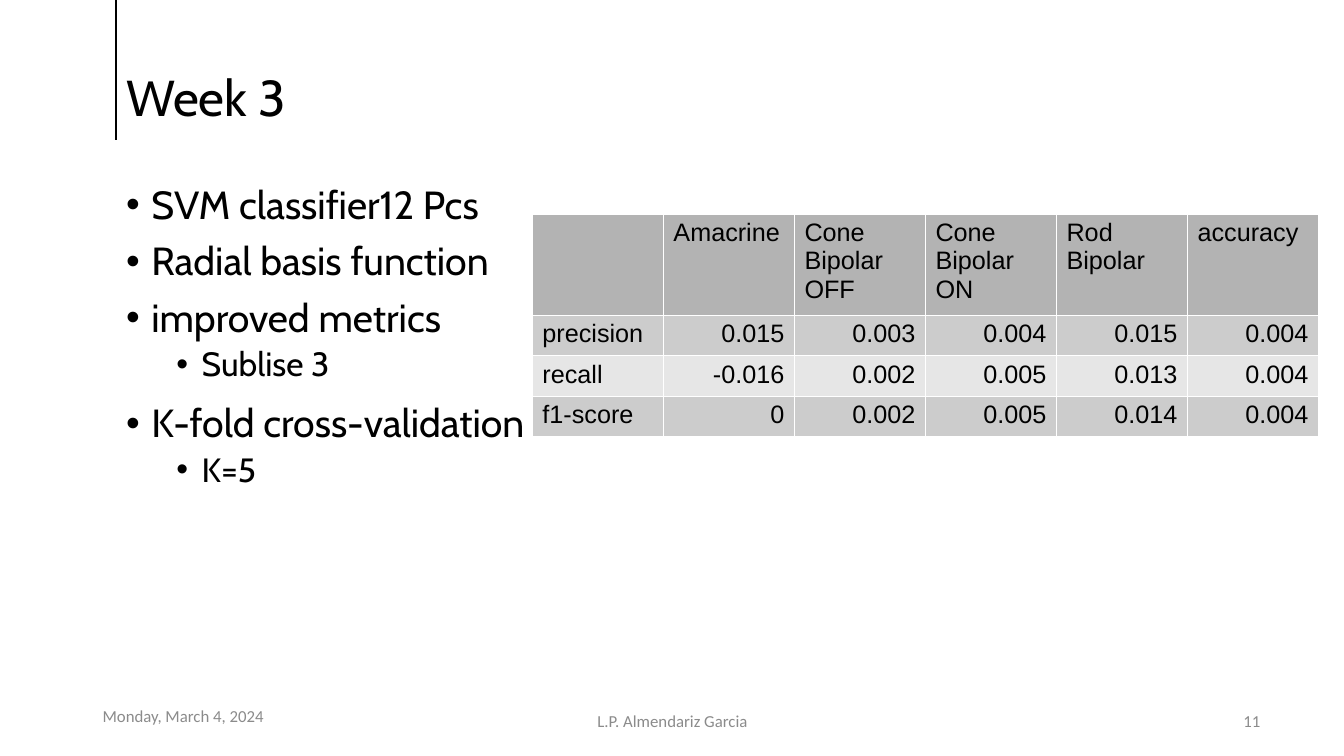
from lxml import etree
from pptx import Presentation
from pptx.dml.color import RGBColor
from pptx.enum.shapes import MSO_CONNECTOR
from pptx.enum.text import MSO_ANCHOR, MSO_AUTO_SIZE, PP_ALIGN
from pptx.oxml.ns import qn
from pptx.util import Inches, Pt

LEFT, CENTER, RIGHT = PP_ALIGN.LEFT, PP_ALIGN.CENTER, PP_ALIGN.RIGHT
TOP, MIDDLE = MSO_ANCHOR.TOP, MSO_ANCHOR.MIDDLE
NO_FIT = MSO_AUTO_SIZE.NONE
STRAIGHT = MSO_CONNECTOR.STRAIGHT

WIDTH, HEIGHT = Inches(13.33), Inches(7.5)
MARGIN, TITLE_BOTTOM = 8.63, 18.53
HEADER_ROW, DATA_ROW = 13.36, 5.37
BLACK, GRAY, WHITE = "000000", "8B8B8B", "FFFFFF"
HEADER_FILL, BANDS = "B3B3B3", ("CCCCCC", "E6E6E6")

BULLETS = [
    ("SVM classifier12 Pcs", 0, 10),
    ("Radial basis function", 0, 10),
    ("improved metrics", 0, 10),
    ("Sublise 3", 1, 5),
    ("K-fold cross-validation", 0, 14.2),
    ("K=5", 1, 5),
]
METRICS = [
    ("", "Amacrine", "Cone Bipolar OFF", "Cone Bipolar ON", "Rod Bipolar", "accuracy"),
    ("precision", "0.015", "0.003", "0.004", "0.015", "0.004"),
    ("recall", "-0.016", "0.002", "0.005", "0.013", "0.004"),
    ("f1-score", "0", "0.002", "0.005", "0.014", "0.004"),
]
FOOTERS = [
    ("Monday, March 4, 2024", (6.9, 92, 22.5, 5.33), LEFT),
    ("L.P. Almendariz Garcia", (33.16, 92.67, 33.76, 5.33), CENTER),
    ("11", (91.37, 92.67, 3.15, 5.47), RIGHT),
]


def rgb(color):
    """Turn a hex string into a colour."""
    return RGBColor.from_string(color)


def across(share):
    """Give a percentage of the slide's width."""
    return int(WIDTH * share / 100)


def down(share):
    """Give a percentage of the slide's height."""
    return int(HEIGHT * share / 100)


def box(x, y, w, h):
    """Turn percentages into left, top, width and height."""
    return across(x), down(y), across(w), down(h)


def write(p, text, size=18, font="Cabin", color=BLACK, align=LEFT, line=None, before=0):
    """Write one formatted run into a paragraph."""
    p.alignment = align
    p.space_before = Pt(before)
    if line:
        p.line_spacing = line
    r = p.add_run()
    r.text = text
    r.font.size, r.font.name, r.font.bold = Pt(size), font, False
    r.font.color.rgb = rgb(color)


def place(sp, area, anchor):
    """Move a text shape and return its prepared text frame."""
    sp.left, sp.top, sp.width, sp.height = box(*area)
    tf = sp.text_frame
    tf.word_wrap, tf.auto_size, tf.vertical_anchor = True, NO_FIT, anchor
    return tf


def add_bullet(p, level):
    """Give a paragraph a hanging bullet."""
    pPr = p._p.get_or_add_pPr()
    pPr.set("marL", str(Inches(0.25 + 0.5 * level)))
    pPr.set("indent", str(Inches(-0.25)))
    buClr = etree.SubElement(pPr, qn("a:buClr"))
    etree.SubElement(buClr, qn("a:srgbClr"), val=BLACK)
    etree.SubElement(pPr, qn("a:buFont"), typeface="Arial")
    etree.SubElement(pPr, qn("a:buChar"), char="•")


def fill_body(sp):
    """Fill the body placeholder with the bullet list."""
    tf = place(sp, (MARGIN, 23.87, 41.33, 63.47), TOP)
    for i, (text, level, before) in enumerate(BULLETS):
        p = tf.add_paragraph() if i else tf.paragraphs[0]
        p.level = level
        write(p, text, size=28 - 4 * level, line=0.9, before=before)
        add_bullet(p, level)


def add_rule(s):
    """Draw the vertical rule beside the title."""
    x = across(MARGIN)
    line = s.shapes.add_connector(STRAIGHT, x, 0, x, down(TITLE_BOTTOM))
    line.line.color.rgb, line.line.width = rgb(BLACK), Pt(1.5)
    etree.SubElement(line._element.spPr, qn("a:effectLst"))


def format_cell(cell, fill):
    """Set a cell's thin white borders and its fill."""
    tcPr = cell._tc.get_or_add_tcPr()
    for side in ("lnL", "lnR", "lnT", "lnB"):
        ln = etree.SubElement(tcPr, qn(f"a:{side}"), w=str(Pt(0.06)))
        solid = etree.SubElement(ln, qn("a:solidFill"))
        etree.SubElement(solid, qn("a:srgbClr"), val=WHITE)
    cell.fill.solid()
    cell.fill.fore_color.rgb = rgb(fill)


def add_metrics(s):
    """Add the table of metric changes."""
    area = box(39.61, 28.27, 58.51, HEADER_ROW + 3 * DATA_ROW)
    table = s.shapes.add_table(len(METRICS), len(METRICS[0]), *area).table
    table.first_row = table.horz_banding = False
    for i, values in enumerate(METRICS):
        table.rows[i].height = down(DATA_ROW if i else HEADER_ROW)
        fill = BANDS[(i - 1) % 2] if i else HEADER_FILL
        for j, value in enumerate(values):
            cell = table.cell(i, j)
            format_cell(cell, fill)
            if value:
                align = RIGHT if i and j else LEFT
                write(cell.text_frame.paragraphs[0], value, font="Arial", align=align)


def add_footer(s, text, area, align):
    """Add one small gray footer text."""
    tf = place(s.shapes.add_textbox(*box(*area)), area, MIDDLE)
    write(tf.paragraphs[0], text, size=12, font="Calibri", color=GRAY, align=align)


def main():
    """Build the slide and save it."""
    prs = Presentation()
    prs.slide_width, prs.slide_height = WIDTH, HEIGHT
    s = prs.slides.add_slide(prs.slide_layouts[1])
    title = place(s.shapes.title, (MARGIN, 8, 82.67, TITLE_BOTTOM - 8), MIDDLE)
    write(title.paragraphs[0], "Week 3", size=36, line=0.9)
    fill_body(s.placeholders[1])
    add_rule(s)
    add_metrics(s)
    for text, area, align in FOOTERS:
        add_footer(s, text, area, align)
    prs.save("out.pptx")


if __name__ == "__main__":
    main()
